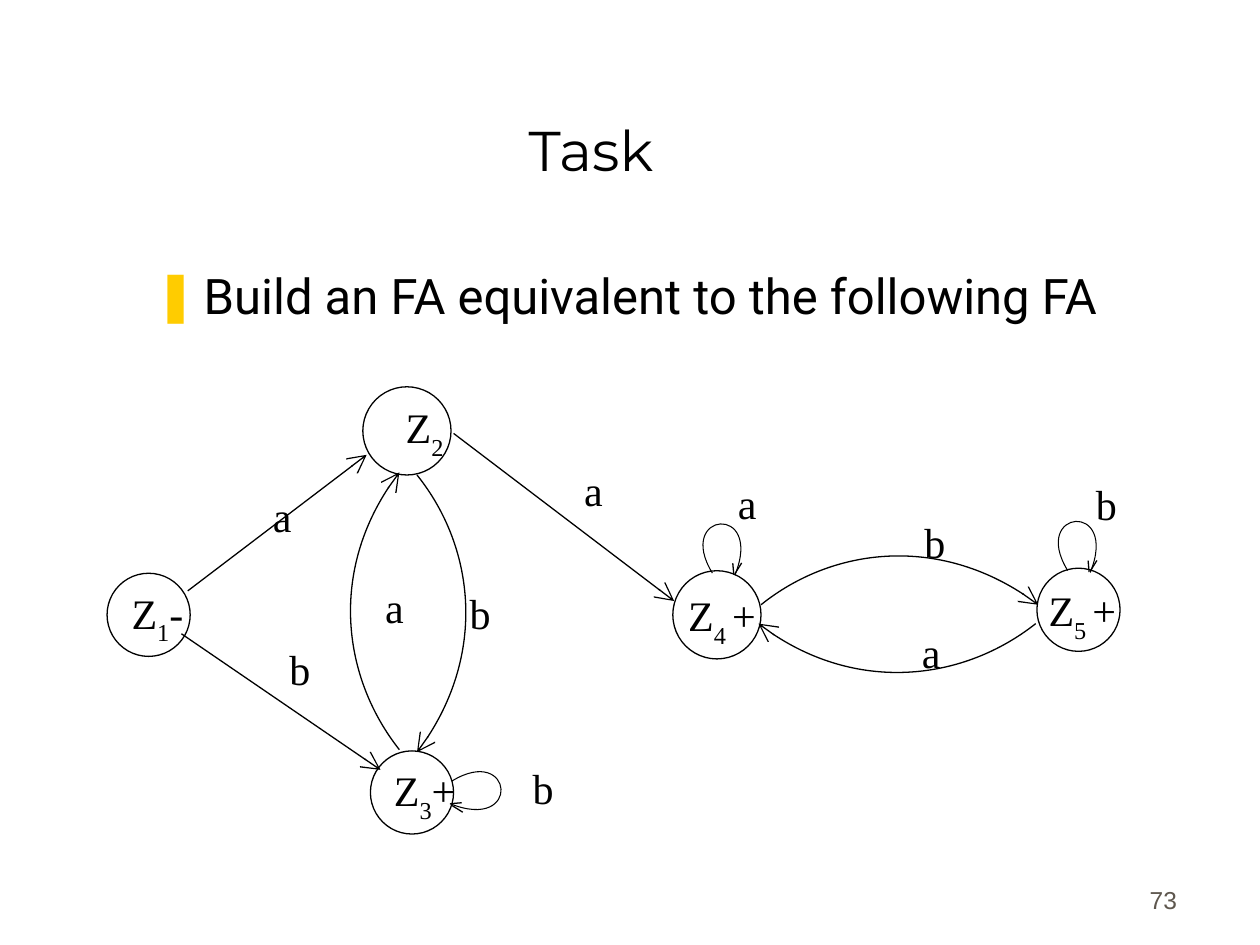
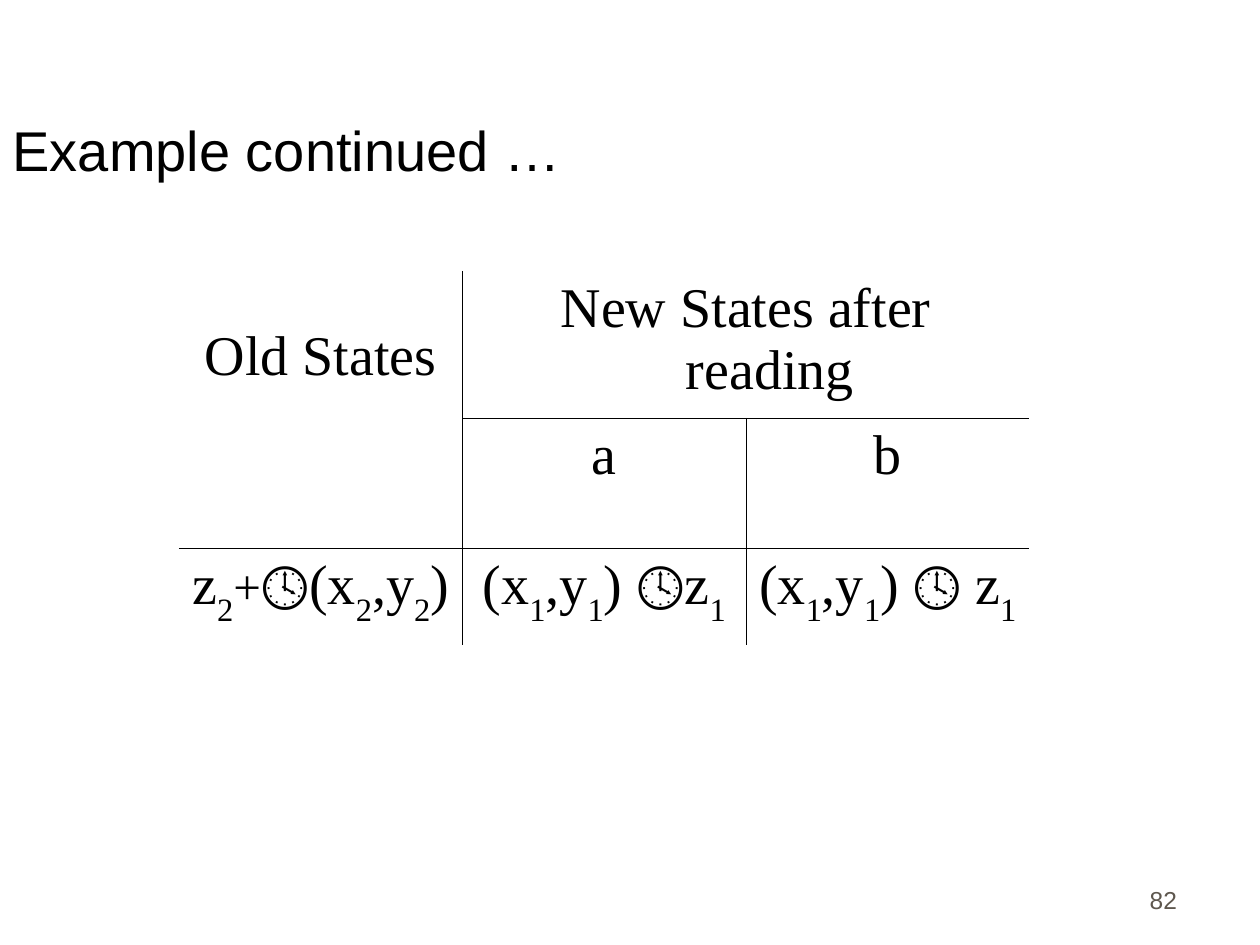
"""Build two slides on finite automata: a state diagram and a transition table."""
from dataclasses import dataclass

from lxml import etree
from pptx import Presentation
from pptx.dml.color import RGBColor
from pptx.enum.shapes import MSO_CONNECTOR, MSO_SHAPE
from pptx.enum.text import MSO_ANCHOR, MSO_AUTO_SIZE, PP_ALIGN
from pptx.oxml.ns import qn
from pptx.util import Inches, Pt

OVAL = MSO_SHAPE.OVAL
STRAIGHT = MSO_CONNECTOR.STRAIGHT
LEFT, CENTER, RIGHT = PP_ALIGN.LEFT, PP_ALIGN.CENTER, PP_ALIGN.RIGHT
TOP, BOTTOM = MSO_ANCHOR.TOP, MSO_ANCHOR.BOTTOM
NO_AUTOFIT = MSO_AUTO_SIZE.NONE


@dataclass(frozen=True)
class Theme:
    """Colours, fonts, type sizes and line widths shared by the slides."""
    ink: str = "000000"
    paper: str = "FFFFFF"
    muted: str = "5E574E"
    accent: str = "FFCC00"
    sans: str = "Arial"
    serif: str = "Times New Roman"
    display: str = "Montserrat"
    body: str = "Roboto"
    title_size: float = 32
    task_size: float = 28
    diagram_size: float = 24
    table_size: float = 32
    plus_size: float = 28
    number_size: float = 14
    edge: float = 0.75
    loop: float = 0.6
    border: float = 0.45


THEME = Theme()
HANGING = 0.38
LABEL_WIDTH = 0.78
STATE_LABEL_HEIGHT, EDGE_LABEL_HEIGHT = 0.57, 0.5
NO_TABLE_STYLE = "{2D5ABB26-0587-4C30-8999-92F81FD0307C}"

TASK = "Build an FA equivalent to the following FA"

# (label with subscripts between bars, circle left, top, diameter, label left, top)
STATES = [
    ("Z|1|-", 0.85, 4.55, 0.66, 0.86, 4.61),
    ("Z|2|", 2.88, 3.07, 0.7, 2.98, 3.14),
    ("Z|3|+", 2.94, 5.96, 0.66, 2.98, 6.02),
    ("Z|4 |+", 5.34, 4.53, 0.7, 5.34, 4.63),
    ("Z|5 |+", 8.23, 4.51, 0.66, 8.2, 4.59),
]
STRAIGHT_EDGES = [
    ((3.6, 3.44), (5.35, 4.77)),
    ((1.49, 4.69), (2.91, 3.61)),
    ((1.44, 5.03), (3.02, 6.11)),
]
CURVED_EDGES = [
    [(3.17, 5.95), (2.72, 5.38), (2.61, 4.47), (3.17, 3.75)],
    [(3.31, 3.77), (3.76, 4.33), (3.87, 5.24), (3.31, 5.97)],
    [(8.22, 4.95), (7.65, 5.4), (6.74, 5.51), (6.02, 4.95)],
    [(6.04, 4.8), (6.6, 4.35), (7.51, 4.24), (8.24, 4.8)],
]
LOOP_CURVE = [(0.34, 0.59), (0, 0.13), (0.7, 0), (0.52, 0.59)]
OUTER_BARB = [(0, 0.08), (0.06, 0)]
INNER_BARB = [(0, 0), (0, 0.09)]
LOOP_TILT, BARB_TILT = 5, -5
# (quarter turn in degrees, corners of the loop, outer barb and inner barb)
LOOPS = [
    (90, (3.53, 5.94), (3.6, 6.38), (3.62, 6.33)),
    (0, (8.16, 3.94), (8.65, 4.45), (8.64, 4.45)),
    (0, (5.34, 3.96), (5.83, 4.47), (5.82, 4.47)),
]
EDGE_LABELS = {
    "a": [(1.85, 3.84), (2.74, 4.57), (4.32, 3.64), (5.54, 3.74), (7, 4.92)],
    "b": [(1.99, 5.06), (3.42, 4.61), (3.92, 6), (7.03, 4.05), (8.39, 3.75)],
}

TRANSITIONS = [
    ["Old States", "New States after reading", ""],
    ["", "a", "b"],
    ["z|2|+||🕓(x|2|,y|2|)", "(x|1|,y|1|) 🕓z|1|", "(x|1|,y|1|) 🕓 z|1|"],
]
SPANS = {(0, 0): (2, 1), (0, 1): (1, 2)}
TABLE_AT = (1.42, 2.15)
COLUMN_WIDTH = 2.25
ROW_HEIGHTS = [1.17, 1.03, 0.77]
OLD_STATES_DROP = 0.43


def apply(target, values):
    """Set each named attribute of the target."""
    for name, value in values.items():
        setattr(target, name, value)


def rgb(color):
    """Turn a hex string into a colour."""
    return RGBColor.from_string(color)


def write(frame, text, font, size, color=THEME.ink, align=CENTER, plus_size=None):
    """Fill a text frame with one paragraph, lowering the pieces between bars."""
    paragraph = frame.paragraphs[0]
    apply(paragraph, {"alignment": align, "space_before": Pt(0)})
    for position, piece in enumerate(text.split("|")):
        if not piece:
            continue
        run = paragraph.add_run()
        run.text = piece
        piece_size = plus_size if plus_size and piece == "+" else size
        apply(run.font, {"name": font, "size": Pt(piece_size), "bold": False})
        run.font.color.rgb = rgb(color)
        if position % 2:
            run.font._element.set("baseline", "-30000")
    return paragraph


def hang(paragraph):
    """Give a paragraph its hanging indent."""
    properties = paragraph._p.get_or_add_pPr()
    properties.set("marL", str(Inches(HANGING)))
    properties.set("indent", str(-Inches(HANGING)))
    return properties


def add_text(slide, box, text, font, size, color=THEME.ink, align=CENTER, anchor=TOP):
    """Add a wrapping text box and return its paragraph."""
    frame = slide.shapes.add_textbox(*map(Inches, box)).text_frame
    apply(frame, {"word_wrap": True, "vertical_anchor": anchor})
    return write(frame, text, font, size, color, align)


def start_slide(deck, title, number, left, font, align):
    """Add a title-only slide with its title and page number."""
    slide = deck.slides.add_slide(deck.slide_layouts[5])
    heading = slide.shapes.title
    apply(heading, {"left": Inches(left), "top": Inches(0.25),
                    "width": Inches(8.5), "height": Inches(1.25)})
    apply(heading.text_frame, {"auto_size": NO_AUTOFIT, "word_wrap": True,
                               "vertical_anchor": BOTTOM})
    write(heading.text_frame, title, font, THEME.title_size, align=align)
    add_text(slide, (7.36, 6.81, 2.08, 0.5), number, THEME.sans, THEME.number_size,
             THEME.muted, RIGHT, BOTTOM)
    return slide


def draw_line(shape, width, arrow=False):
    """Style an outline, with a large arrowhead at its end on request."""
    shape.line.color.rgb = rgb(THEME.ink)
    shape.line.width = Pt(width)
    if arrow:
        outline = shape._element.spPr.find(qn("a:ln"))
        etree.SubElement(outline, qn("a:tailEnd"), type="arrow", w="lg", len="lg")


def add_stroke(slide, points, width, corner=(0, 0), rotation=0, arrow=False):
    """Draw an open line, or a cubic curve when given four control points."""
    start, *others = [tuple(Inches(c + offset) for c, offset in zip(point, corner))
                      for point in points]
    builder = slide.shapes.build_freeform(*start)
    builder.add_line_segments(others, close=False)
    stroke = builder.convert_to_shape()
    if len(others) == 3:
        outline = next(stroke._element.iter(qn("a:path")))
        curve = etree.SubElement(outline, qn("a:cubicBezTo"))
        for segment in outline.findall(qn("a:lnTo")):
            curve.append(segment[0])
            outline.remove(segment)
    stroke.shadow.inherit = False
    stroke.fill.background()
    stroke.rotation = rotation
    draw_line(stroke, width, arrow)


def build_task(deck):
    """Build the slide with the state diagram."""
    slide = start_slide(deck, "Task", "73", 0.44, THEME.display, CENTER)
    task = add_text(slide, (0.5, 2.06, 8.94, 4.56), TASK, THEME.body, THEME.task_size)
    properties = hang(task)
    bullet_color = etree.SubElement(properties, qn("a:buClr"))
    etree.SubElement(bullet_color, qn("a:srgbClr"), val=THEME.accent)
    etree.SubElement(properties, qn("a:buFont"), typeface=THEME.sans)
    etree.SubElement(properties, qn("a:buChar"), char="❚")

    for _, left, top, diameter, *_ in STATES:
        state = slide.shapes.add_shape(OVAL, *map(Inches, (left, top, diameter, diameter)))
        state.shadow.inherit = False
        state.fill.solid()
        state.fill.fore_color.rgb = rgb(THEME.paper)
        draw_line(state, THEME.edge)
    for points in CURVED_EDGES:
        add_stroke(slide, points, THEME.edge, arrow=True)
    for turn, loop_corner, outer_corner, inner_corner in LOOPS:
        add_stroke(slide, LOOP_CURVE, THEME.loop, loop_corner, turn + LOOP_TILT)
        add_stroke(slide, OUTER_BARB, THEME.edge, outer_corner, turn + BARB_TILT)
        add_stroke(slide, INNER_BARB, THEME.edge, inner_corner, turn + BARB_TILT)
    for start, end in STRAIGHT_EDGES:
        edge = slide.shapes.add_connector(STRAIGHT, *map(Inches, start + end))
        draw_line(edge, THEME.edge, arrow=True)
        etree.SubElement(edge._element.spPr, qn("a:effectLst"))

    for label, *_, left, top in STATES:
        add_text(slide, (left, top, LABEL_WIDTH, STATE_LABEL_HEIGHT), label,
                 THEME.serif, THEME.diagram_size)
    for letter, places in EDGE_LABELS.items():
        for place in places:
            add_text(slide, (*place, LABEL_WIDTH, EDGE_LABEL_HEIGHT), letter,
                     THEME.serif, THEME.diagram_size)


def rule_cell(cell, sides):
    """Draw the chosen sides of a cell and clear the others."""
    properties = cell._tc.get_or_add_tcPr()
    for side, shown in sides.items():
        border = etree.SubElement(properties, qn(f"a:ln{side}"), w=str(Pt(THEME.border)))
        fill = etree.SubElement(border, qn("a:solidFill" if shown else "a:noFill"))
        if shown:
            etree.SubElement(fill, qn("a:srgbClr"), val=THEME.ink)


def build_example(deck):
    """Build the slide with the transition table."""
    slide = start_slide(deck, "Example continued …", "82", 0, THEME.sans, LEFT)
    rows, columns = len(TRANSITIONS), len(TRANSITIONS[0])
    size = (COLUMN_WIDTH * columns, sum(ROW_HEIGHTS))
    table = slide.shapes.add_table(rows, columns, *map(Inches, TABLE_AT + size)).table
    apply(table, {"first_row": False, "horz_banding": False})
    table._tbl.tblPr.find(qn("a:tableStyleId")).text = NO_TABLE_STYLE
    for column in table.columns:
        column.width = Inches(COLUMN_WIDTH)
    for row, height in zip(table.rows, ROW_HEIGHTS):
        row.height = Inches(height)
    for (row, column), (down, across) in SPANS.items():
        table.cell(row, column).merge(table.cell(row + down - 1, column + across - 1))

    for row, texts in enumerate(TRANSITIONS):
        for column, text in enumerate(texts):
            cell = table.cell(row, column)
            down, across = SPANS.get((row, column), (1, 1))
            if not cell.is_spanned:
                rule_cell(cell, {"L": column > 0, "R": column + across < columns,
                                 "T": row > 0, "B": row + down < rows})
                hang(write(cell.text_frame, text, THEME.serif, THEME.table_size,
                           plus_size=THEME.plus_size))
            cell.fill.background()
    table.cell(0, 0).margin_top = Inches(OLD_STATES_DROP)


def main():
    """Build and save the deck."""
    deck = Presentation()
    apply(deck, {"slide_width": Inches(10), "slide_height": Inches(7.5)})
    build_task(deck)
    build_example(deck)
    deck.save("out.pptx")


if __name__ == "__main__":
    main()
